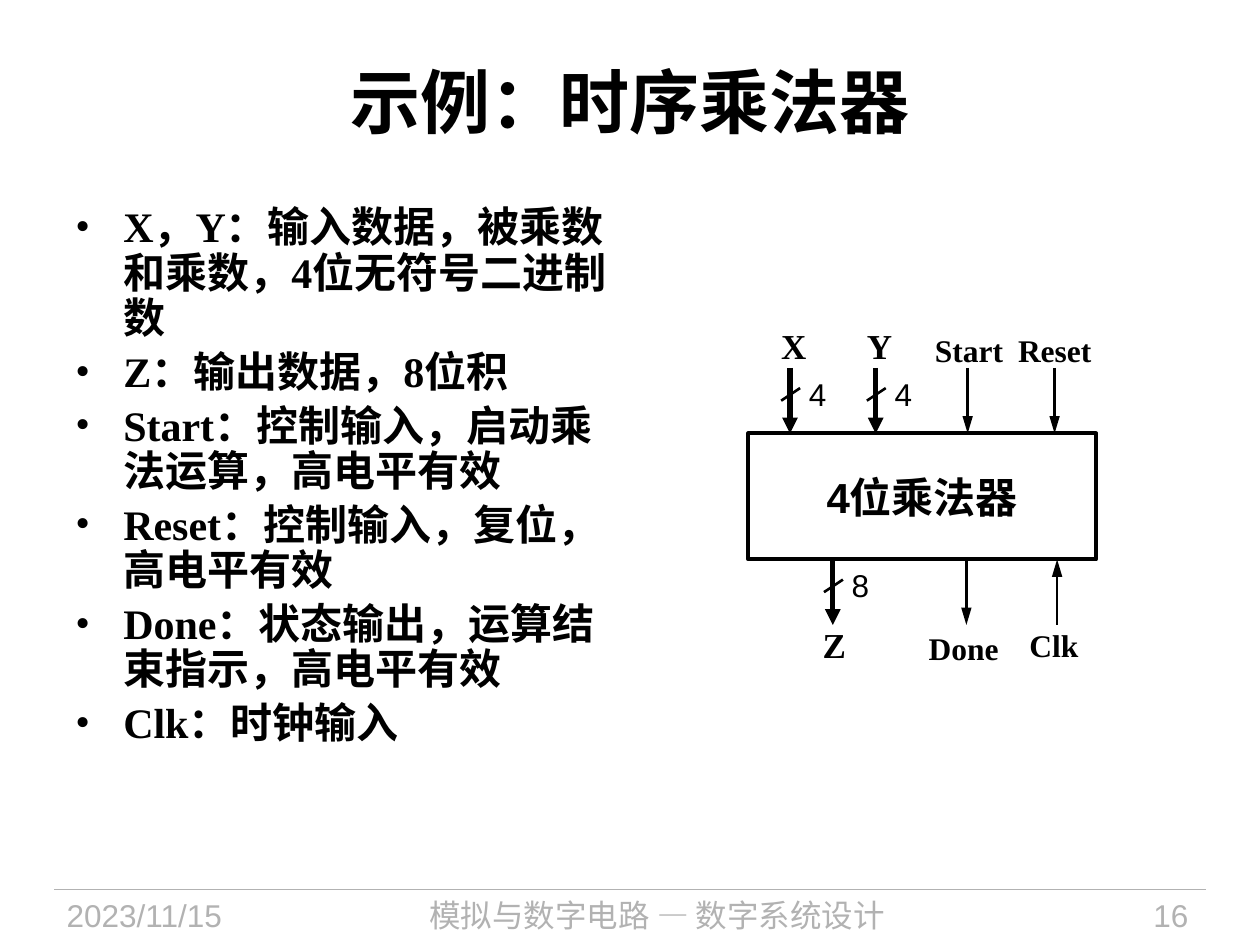
from pptx import Presentation
from pptx.dml.color import RGBColor
from pptx.enum.shapes import MSO_CONNECTOR, MSO_SHAPE
from pptx.enum.text import MSO_ANCHOR, MSO_AUTO_SIZE, PP_ALIGN
from pptx.oxml import parse_xml
from pptx.oxml.ns import nsdecls
from pptx.util import Inches, Pt
from dataclasses import dataclass


@dataclass(frozen=True)
class Theme:
    ink: str = "000000"
    gray: str = "B2B2B2"
    serif: str = "Times New Roman"
    sans: str = "Arial"
    han: str = "Noto Sans CJK SC"
    head: int = 40
    body: int = 24
    bus: int = 20
    small: int = 18


T = Theme()
TITLE = "示例：时序乘法器"
ITEMS = [
    "X，Y：输入数据，被乘数和乘数，4位无符号二进制数",
    "Z：输出数据，8位积",
    "Start：控制输入，启动乘法运算，高电平有效",
    "Reset：控制输入，复位，高电平有效",
    "Done：状态输出，运算结束指示，高电平有效",
    "Clk：时钟输入",
]
FOOTER = [
    ("2023/11/15", 0.43, 1.88, T.sans, PP_ALIGN.LEFT),
    ("模拟与数字电路 — 数字系统设计", 2.4, 5.63, T.han, PP_ALIGN.CENTER),
    ("16", 8.2, 1.33, T.sans, PP_ALIGN.RIGHT),
]
BLOCK = ("4位乘法器", (5.94, 3.44, 2.76, 1))
PORTS = [
    ("X", "4", "top", "in", 6.27, (6.2, 2.61, 0.2)),
    ("Y", "4", "top", "in", 6.95, (6.88, 2.61, 0.2)),
    ("Start", "", "top", "in", 7.68, (7.42, 2.6, 0.56)),
    ("Reset", "", "top", "in", 8.37, (8.08, 2.6, 0.6)),
    ("Z", "8", "bottom", "out", 6.61, (6.53, 4.99, 0.2)),
    ("Done", "", "bottom", "out", 7.67, (7.37, 4.96, 0.57)),
    ("Clk", "", "bottom", "in", 8.39, (8.17, 4.94, 0.4)),
]
STEM = 0.52
FOOT = 7.06


def write(shape, lines, size=T.small, face=T.serif, color=T.ink, bold=False,
          align=PP_ALIGN.LEFT, anchor=MSO_ANCHOR.TOP, wrap=True, inset=None,
          grow=False, lead=None, after=None, bullet=False):
    """Fill a shape with one formatted paragraph per line."""
    frame = shape.text_frame
    frame.word_wrap, frame.vertical_anchor = wrap, anchor
    if grow:
        frame.auto_size = MSO_AUTO_SIZE.SHAPE_TO_FIT_TEXT
    if inset is not None:
        frame.margin_left = frame.margin_right = Inches(inset)
        frame.margin_top = frame.margin_bottom = Inches(inset)
    for i, line in enumerate(lines):
        para = frame.add_paragraph() if i else frame.paragraphs[0]
        para.alignment = align
        if lead:
            para.line_spacing = lead
        if after:
            para.space_after = Pt(after)
        if bullet:
            props = para._p.get_or_add_pPr()
            props.set("marL", str(Inches(0.38)))
            props.set("indent", str(-Inches(0.38)))
            for tag in (f'buFont {nsdecls("a")} typeface="{T.serif}"',
                        f'buChar {nsdecls("a")} char="•"'):
                props.append(parse_xml(f"<a:{tag}/>"))
        run = para.add_run()
        run.text = line
        font = run.font
        font.size, font.bold = Pt(size), bold
        font.color.rgb = RGBColor.from_string(color)
        font.name = face
        run._r.get_or_add_rPr().append(
            parse_xml(f'<a:ea {nsdecls("a")} typeface="{T.han}"/>'))


def label(slide, lines, box, **style):
    """Add a text box and write into it."""
    write(slide.shapes.add_textbox(*map(Inches, box)), lines, **style)


def line(slide, start, end, width=1.5, color=T.ink, tip=None):
    """Draw a straight line, with an arrowhead of the given length if any."""
    ends = map(Inches, (*start, *end))
    wire = slide.shapes.add_connector(MSO_CONNECTOR.STRAIGHT, *ends)
    wire.line.width = Pt(width)
    wire.line.color.rgb = RGBColor.from_string(color)
    if tip:
        wire.line._get_or_add_ln().append(parse_xml(
            f'<a:tailEnd {nsdecls("a")} type="triangle" w="med" len="{tip}"/>'))
    wire._element.spPr.append(parse_xml(f'<a:effectLst {nsdecls("a")}/>'))


def port(slide, name, bits, side, flow, x, spot):
    """Draw one signal of the block with its arrow and label."""
    _, (_, top, _, high) = BLOCK
    y = top - STEM if side == "top" else top + high
    ends = [(x, y), (x, y + STEM)]
    if (side, flow) == ("bottom", "in"):
        ends.reverse()
    line(slide, *ends, width=3 if bits else 1.5, tip="med" if bits else "lg")
    tight = dict(wrap=False, inset=0, grow=True)
    if bits:
        line(slide, (x + 0.08, y + 0.16), (x - 0.07, y + 0.26))
        label(slide, [bits], (x + 0.15, y + 0.09, 0.14, 0.27), face=T.sans,
              lead=0.9, **tight)
    label(slide, [name], (*spot, 0.3 if bits else 0.33), bold=True,
          size=T.bus if bits else T.small, lead=0.9 if bits else 1.1, **tight)


def main():
    """Build the slide and save it."""
    deck = Presentation()
    deck.slide_width, deck.slide_height = Inches(10), Inches(7.5)
    slide = deck.slides.add_slide(deck.slide_layouts[6])
    line(slide, (0.43, FOOT), (9.57, FOOT), width=0.75, color=T.gray)
    for words, left, wide, face, align in FOOTER:
        label(slide, [words], (left, FOOT, wide, 0.44), face=face,
              color=T.gray, align=align)
    label(slide, [TITLE], (0.5, 0.17, 9, 1.25), size=T.head, bold=True,
          align=PP_ALIGN.CENTER, anchor=MSO_ANCHOR.MIDDLE)
    label(slide, ITEMS, (0.5, 1.59, 4.58, 5.39), size=T.body, bold=True,
          lead=0.9, after=4.8, bullet=True)
    name, box = BLOCK
    block = slide.shapes.add_shape(MSO_SHAPE.RECTANGLE, *map(Inches, box))
    block.shadow.inherit = False
    block.fill.background()
    block.line.width = Pt(2.25)
    block.line.color.rgb = RGBColor.from_string(T.ink)
    write(block, [name], size=T.body, face=T.sans, bold=True, wrap=False,
          align=PP_ALIGN.CENTER, anchor=MSO_ANCHOR.MIDDLE)
    for item in PORTS:
        port(slide, *item)
    deck.save("out.pptx")


if __name__ == "__main__":
    main()
